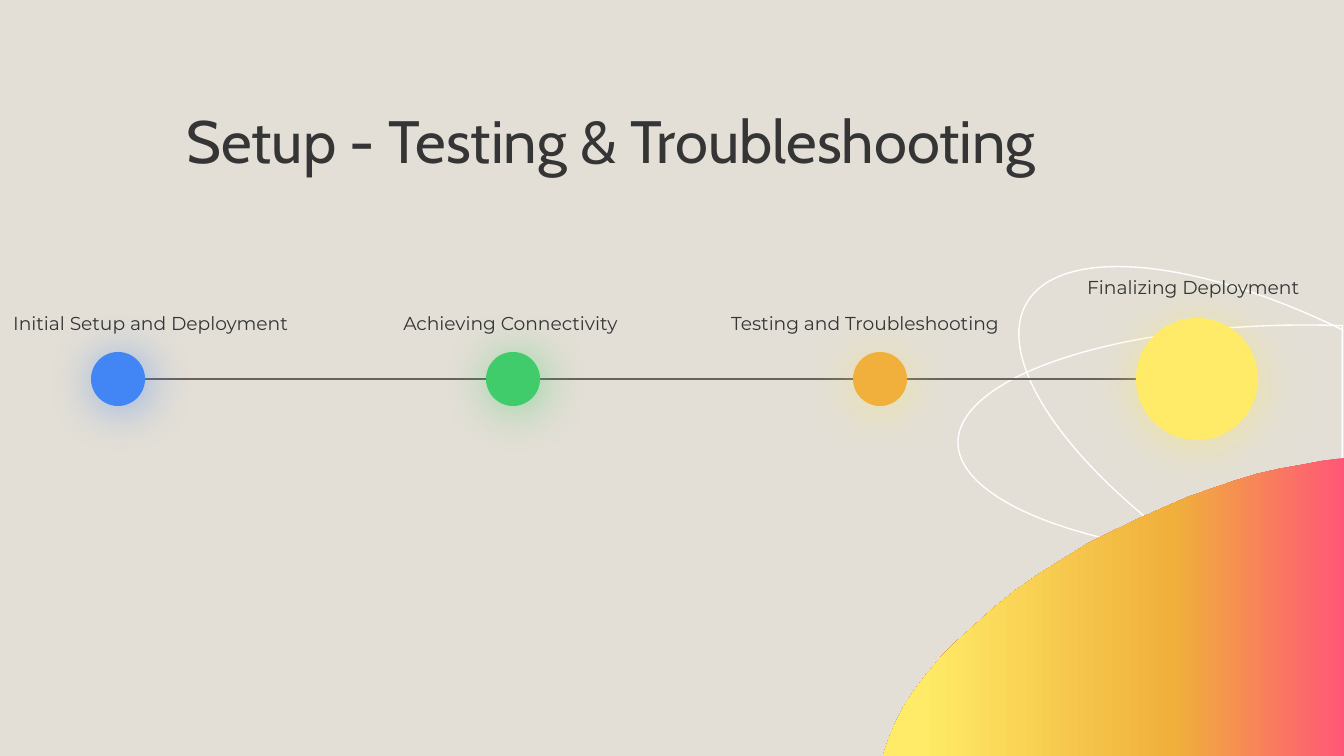
from lxml.etree import SubElement
from pptx import Presentation
from pptx.dml.color import RGBColor
from pptx.enum.shapes import MSO_CONNECTOR, MSO_SHAPE
from pptx.enum.text import MSO_ANCHOR
from pptx.oxml.ns import qn
from pptx.util import Pt

SCALE = 914400 / 134.4
WIDE, HIGH = 1344, 756
COLORS = {
    "back": "E3DFD6", "ink": "353535", "line": "69615E", "white": "FFFFFF",
    "blue": "4285F4", "green": "41CC6B", "orange": "F0B03B",
    "yellow": "FFEB67", "pink": "FF5777",
}
HILL = [
    (1344, 458), (1322, 461), (1301, 465), (1279, 469), (1257, 474),
    (1234, 481), (1211, 489), (1188, 497), (1165, 507), (1138, 519),
    (1113, 531), (1087, 544), (1063, 559), (1039, 574), (1016, 590),
    (996, 606), (976, 624), (957, 641), (941, 657), (926, 675),
    (914, 691), (903, 708), (895, 724), (888, 741), (883, HIGH),
    (WIDE, HIGH),
]
FADE = [(0, "pink"), (37, "orange"), (92, "yellow"), (100, "yellow")]
SOFT = {"alpha": 56, "blur": 25.9, "dist": 2.2, "angle": 45}
WARM = {"alpha": 50, "blur": 27, "dist": 3, "angle": 90}
AXIS = 379
DOTS = [
    (513, 54, "green", "green", SOFT),
    (880, 54, "orange", "yellow", WARM),
    (118, 54, "blue", "blue", SOFT),
    (1197, 122, "yellow", "yellow", WARM),
]
LABELS = [
    ("Initial Setup and Deployment", 0, 305, 325),
    ("Testing and Troubleshooting", 718, 305, 324),
    ("Achieving Connectivity", 390, 305, 382),
    ("Finalizing Deployment", 1074, 269, 337),
]


def px(*nums):
    return [round(num * SCALE) for num in nums]


def tint(name):
    return RGBColor.from_string(COLORS[name])


def node(root, tag, **attrs):
    return SubElement(root, qn(tag), {key: str(val) for key, val in attrs.items()})


def write(frame, text, font="Montserrat", size=10, color="ink", space=None):
    par = frame.paragraphs[0]
    par.line_spacing = space
    run = par.add_run()
    run.text = text
    run.font.name = font
    run.font.size = Pt(size)
    run.font.color.rgb = tint(color)


class Deck:
    def __init__(self):
        self.show = Presentation()
        self.show.slide_width, self.show.slide_height = px(WIDE, HIGH)
        self.slide = self.show.slides.add_slide(self.show.slide_layouts[6])
        self.shapes = self.slide.shapes
        fill = self.slide.background.fill
        fill.solid()
        fill.fore_color.rgb = tint("back")

    def orbit(self, box, start, end, turn=0):
        shape = self.shapes.add_shape(MSO_SHAPE.CHORD, *px(*box))
        shape.adjustments[0] = start
        shape.adjustments[1] = end
        shape.rotation = turn
        shape.shadow.inherit = False
        shape.fill.background()
        shape.line.color.rgb = tint("white")
        shape.line.width = Pt(0.75)

    def hill(self, points, stops):
        build = self.shapes.build_freeform(*points[0], scale=SCALE)
        build.add_line_segments(points[1:], close=True)
        shape = build.convert_to_shape()
        shape.shadow.inherit = False
        shape.line.fill.background()
        shape.fill.gradient()
        shape.fill.gradient_angle = 180
        group = shape.fill._xPr.find(qn("a:gradFill")).find(qn("a:gsLst"))
        group.clear()
        for place, name in stops:
            stop = node(group, "a:gs", pos=place * 1000)
            node(stop, "a:srgbClr", val=COLORS[name])

    def line(self, left, right, y):
        line = self.shapes.add_connector(
            MSO_CONNECTOR.STRAIGHT, *px(left, y, right, y))
        line.line.color.rgb = tint("line")
        line.line.width = Pt(0.75)
        node(line._element.spPr, "a:effectLst")

    def dot(self, x, size, color, glow, style):
        shape = self.shapes.add_shape(
            MSO_SHAPE.OVAL, *px(x - size / 2, AXIS - size / 2, size, size))
        shape.fill.solid()
        shape.fill.fore_color.rgb = tint(color)
        shape.line.fill.background()
        shape.shadow.inherit = False
        effect = shape._element.spPr.find(qn("a:effectLst"))
        shade = node(effect, "a:outerShdw", blurRad=Pt(style["blur"]),
                     dist=Pt(style["dist"]), dir=style["angle"] * 60000,
                     algn="ctr", rotWithShape=0)
        tone = node(shade, "a:srgbClr", val=COLORS[glow])
        node(tone, "a:alpha", val=style["alpha"] * 1000)

    def text(self, text, left, top, width, height=36, inset=None, **style):
        frame = self.shapes.add_textbox(*px(left, top, width, height)).text_frame
        frame.word_wrap = True
        frame.vertical_anchor = MSO_ANCHOR.TOP
        if inset is not None:
            frame.margin_top = inset
        write(frame, text, **style)


def main():
    deck = Deck()
    deck.orbit((958, 325, 695, 235), 43.47, 172.54)
    deck.orbit((980, 340, 695, 274), 32.83, 147.44, turn=30)
    deck.hill(HILL, FADE)
    deck.text("Setup - Testing & Troubleshooting", 173, 112, 1170, 89,
              inset=0, font="Cabin", size=32, space=0.9)
    deck.line(101, 1230, AXIS)
    for dot in DOTS:
        deck.dot(*dot)
    for label in LABELS:
        deck.text(*label)
    deck.show.save("out.pptx")


if __name__ == "__main__":
    main()
